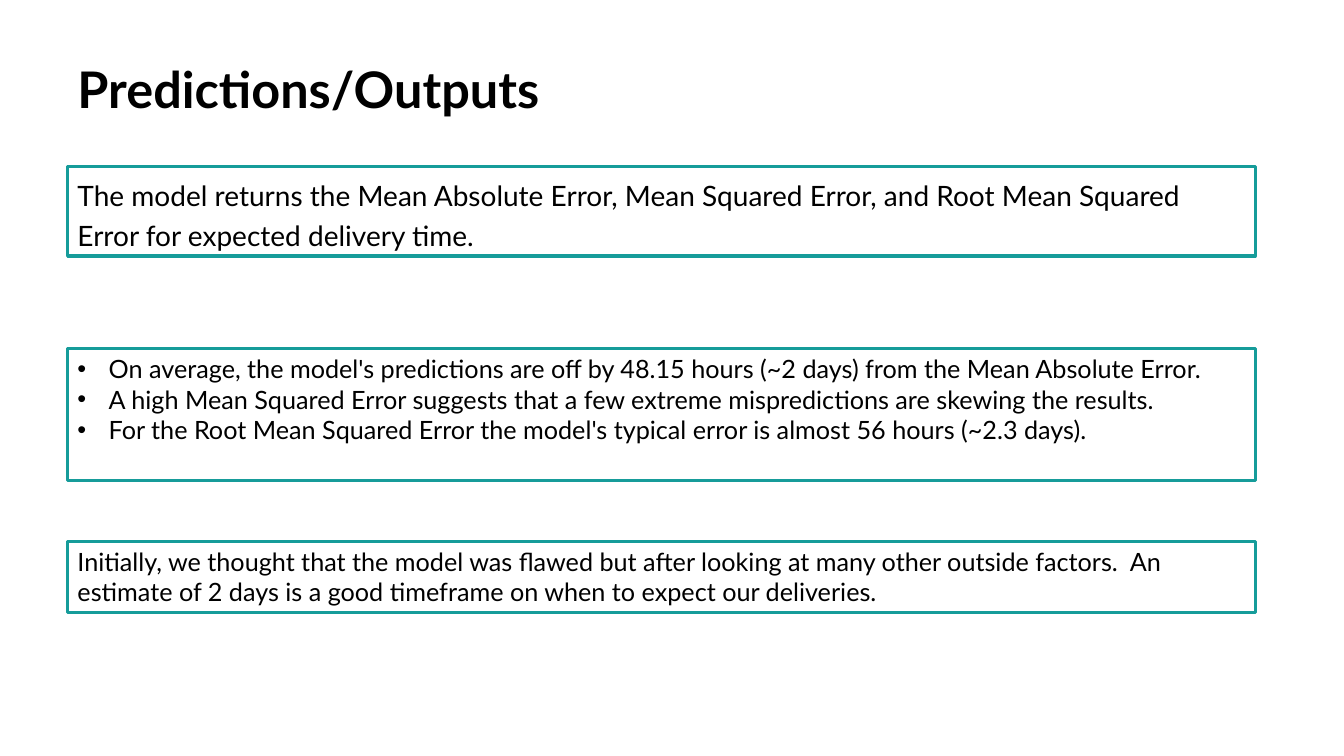
import pptx
import pptx.util
import pptx.dml.color
import pptx.enum.shapes
import pptx.enum.text
import pptx.oxml.ns
import lxml.etree

Inches = pptx.util.Inches
BLACK = pptx.dml.color.RGBColor(0x00, 0x00, 0x00)
TEAL = pptx.dml.color.RGBColor(0x16, 0x9C, 0x9A)
LEFT = Inches(0.67)
BULLET_INDENT = Inches(0.31)


def write_text(box, lines, size, spacing=1.0, bold=False, bulleted=False):
    frame = box.text_frame
    frame.word_wrap = True
    frame.vertical_anchor = pptx.enum.text.MSO_ANCHOR.TOP
    frame.text = "\n".join(lines)
    for para in frame.paragraphs:
        para.alignment = pptx.enum.text.PP_ALIGN.LEFT
        para.line_spacing = spacing
        if bulleted:
            properties = para._p.get_or_add_pPr()
            properties.set("marL", str(BULLET_INDENT))
            properties.set("indent", str(-BULLET_INDENT))
            for tag, name, value in (("a:buFont", "typeface", "Arial"), ("a:buChar", "char", "•")):
                lxml.etree.SubElement(properties, pptx.oxml.ns.qn(tag)).set(name, value)
        for span in para.runs:
            span.font.name = "Lato"
            span.font.size = pptx.util.Pt(size)
            span.font.bold = bold
            span.font.color.rgb = BLACK


deck = pptx.Presentation()
deck.slide_width = Inches(13.33)
deck.slide_height = Inches(7.5)
page = deck.slides.add_slide(deck.slide_layouts[6])

title = page.shapes.add_textbox(LEFT, Inches(0.6), Inches(11.65), Inches(1.24))
write_text(title, ["Predictions/Outputs"], 36, spacing=0.9, bold=True)

metrics = ["The model returns the Mean Absolute Error, Mean Squared Error, and Root Mean Squared Error for expected delivery time."]
findings = [
    "On average, the model's predictions are off by 48.15 hours (~2 days) from the Mean Absolute Error.",
    "A high Mean Squared Error suggests that a few extreme mispredictions are skewing the results.",
    "For the Root Mean Squared Error the model's typical error is almost 56 hours (~2.3 days).",
]
conclusion = ["Initially, we thought that the model was flawed but after looking at many other outside factors.  An estimate of 2 days is a good timeframe on when to expect our deliveries."]

panels = [
    (1.65, 0.89, metrics, 20, 1.2, False),
    (3.46, 1.31, findings, 18, 1.0, True),
    (5.37, 0.71, conclusion, 18, 1.0, False),
]
for top, height, lines, size, spacing, bulleted in panels:
    panel = page.shapes.add_shape(
        pptx.enum.shapes.MSO_SHAPE.RECTANGLE, LEFT, Inches(top), Inches(11.78), Inches(height))
    panel.shadow.inherit = False
    panel.fill.background()
    panel.line.color.rgb = TEAL
    panel.line.width = pptx.util.Pt(2.25)
    write_text(panel, lines, size, spacing=spacing, bulleted=bulleted)

deck.save("out.pptx")
